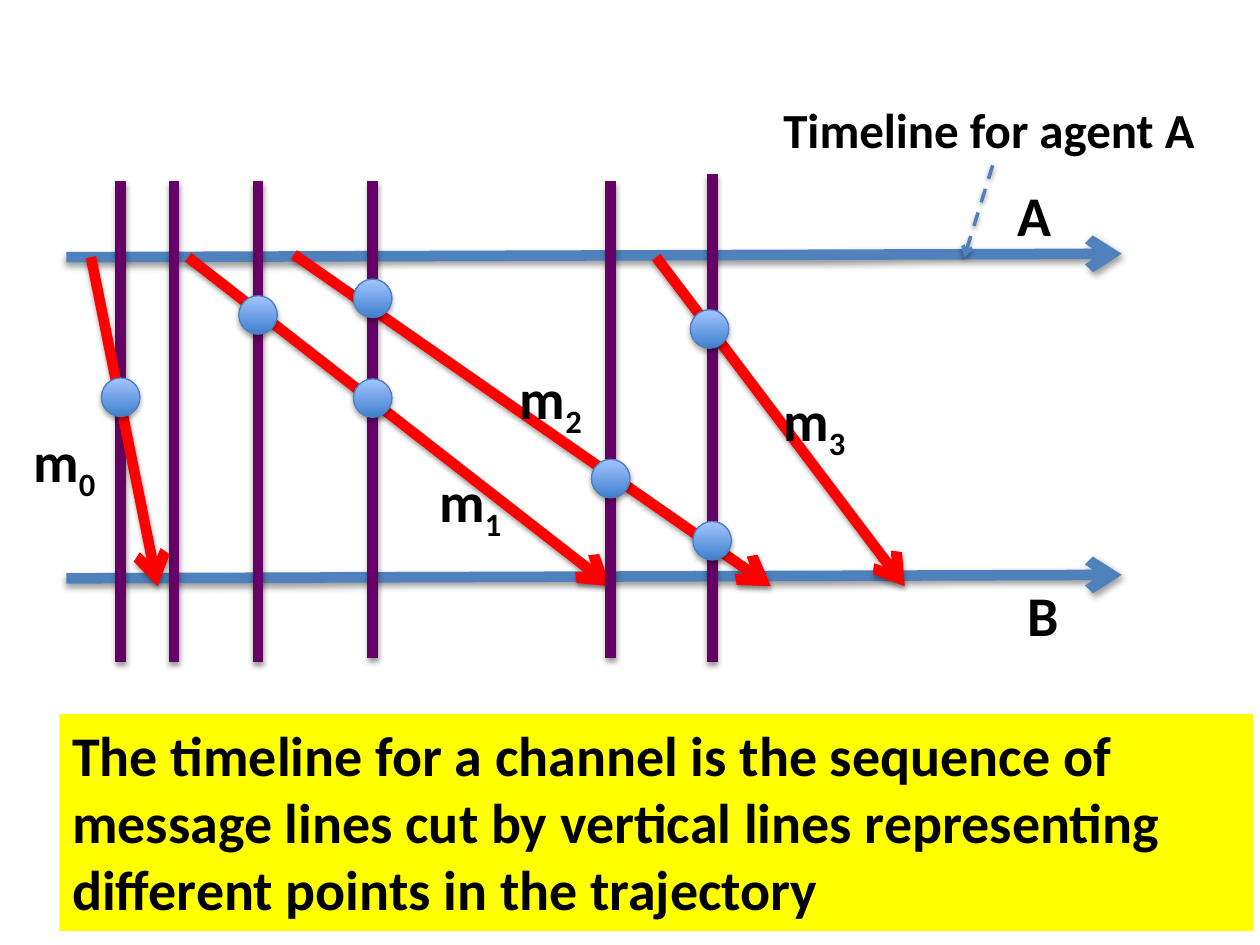
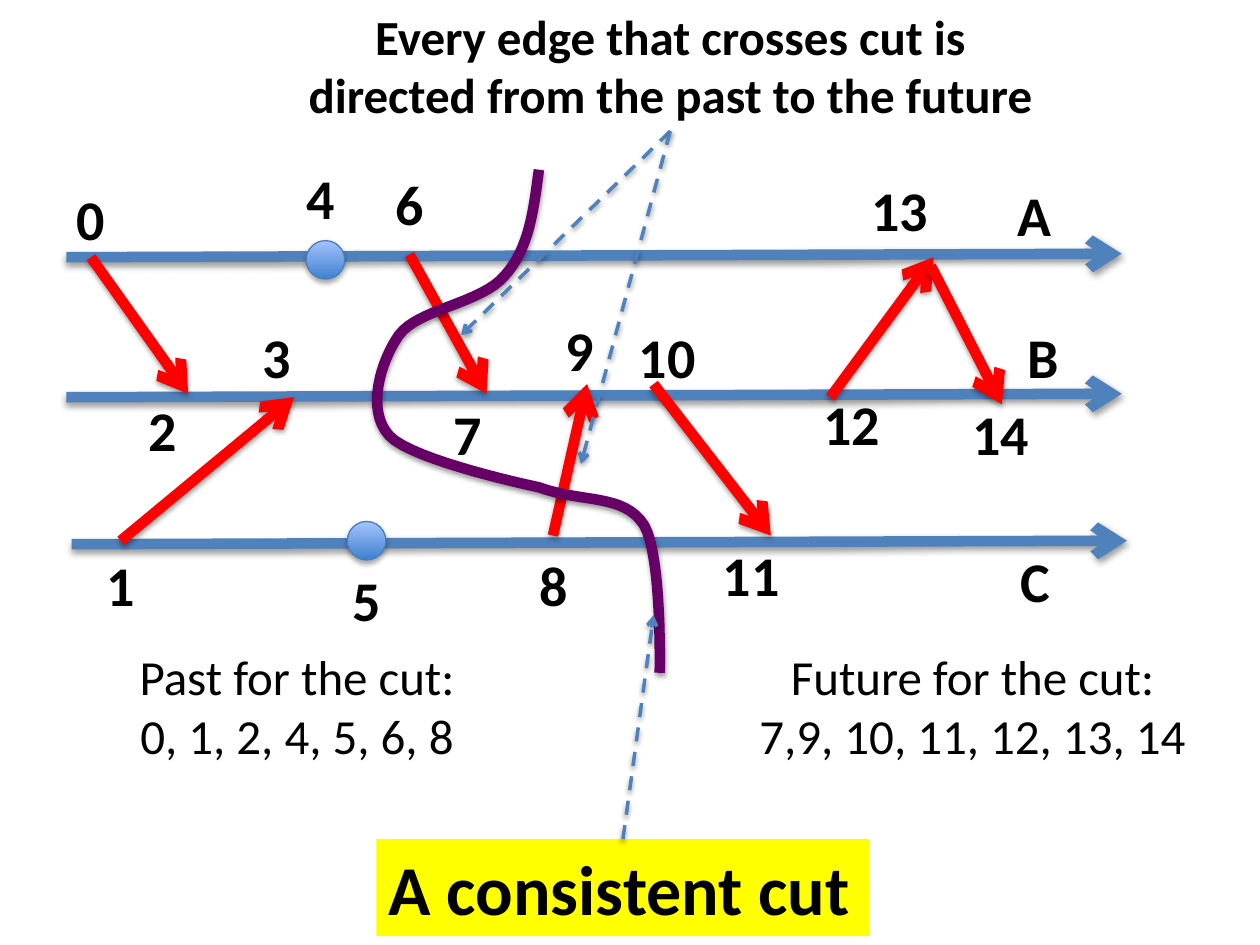
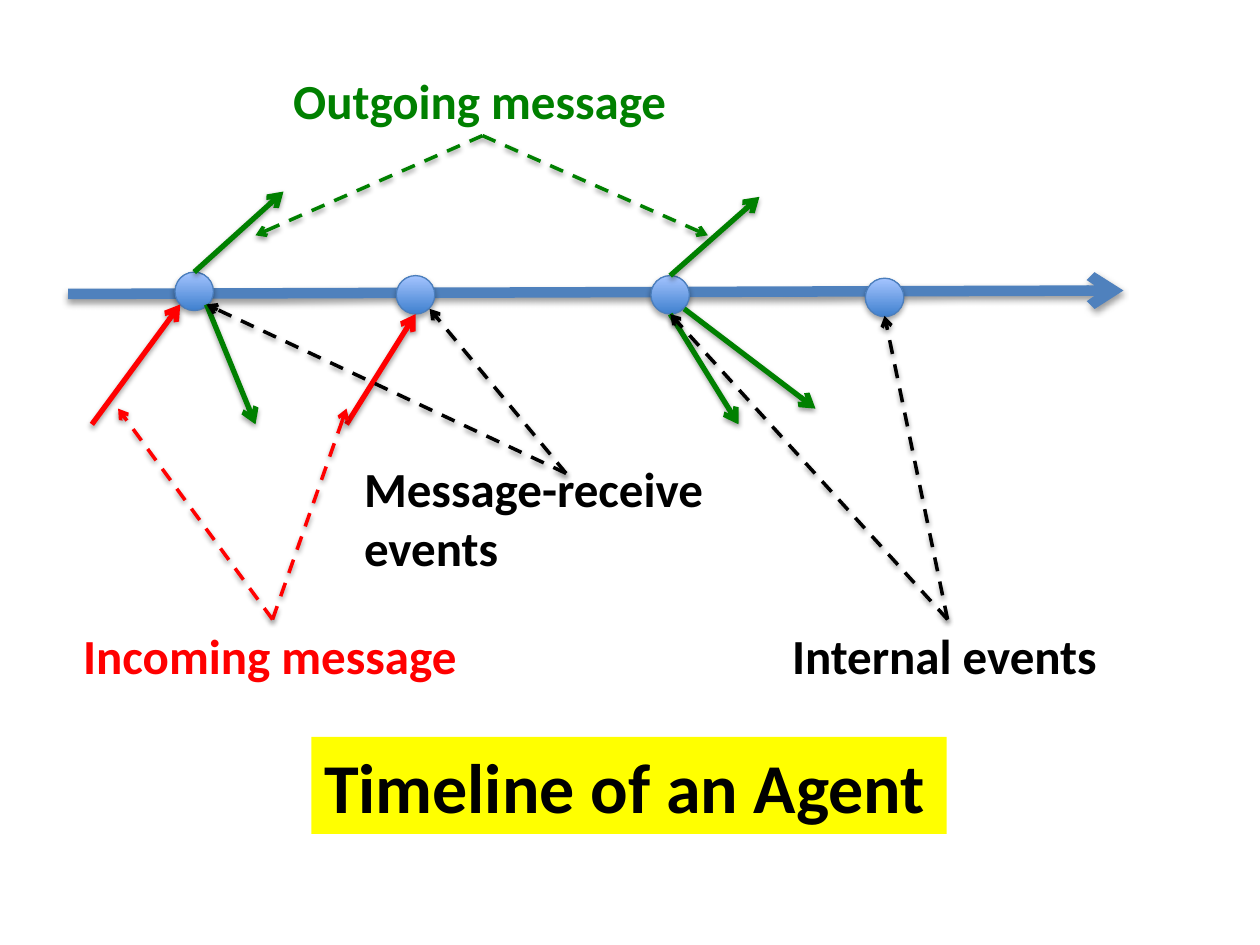
from dataclasses import dataclass

from lxml.etree import SubElement as Sub
from pptx import Presentation
from pptx.dml.color import RGBColor as RGB
from pptx.enum.dml import MSO_LINE as Dash
from pptx.enum.shapes import MSO_CONNECTOR as Link, MSO_SHAPE as Form
from pptx.enum.text import MSO_ANCHOR as Anchor, MSO_AUTO_SIZE as Fit, PP_ALIGN as Align
from pptx.oxml.ns import qn
from pptx.util import Pt


@dataclass(frozen=True)
class Theme:
    font: str = "Calibri"
    black: str = "000000"
    blue: str = "4F81BD"
    red: str = "FF0000"
    green: str = "008000"
    purple: str = "660066"
    yellow: str = "FFFF00"
    rim: str = "4B7EBC"
    deep: str = "3F80CE"
    pale: str = "A4C4FF"
    note: int = 28
    label: int = 32
    title: int = 40
    thick: int = 6
    mid: int = 3
    thin: int = 2
    dot: int = 22


T = Theme()
TOP, BOTTOM = 0, 2


def rgb(code):
    return RGB.from_string(code)


def write(frame, text, size=T.label, color=T.black, bold=True, align=Align.LEFT,
          wrap=False, fit=Fit.SHAPE_TO_FIT_TEXT, sub=""):
    """Fill a text frame, one paragraph a line; sub is a closing subscript."""
    frame.word_wrap = wrap
    frame.auto_size = fit
    frame.vertical_anchor = Anchor.TOP
    frame.text = text
    if sub:
        run = frame.paragraphs[-1].add_run()
        run.text = sub
        run.font._element.set("baseline", "-25000")
    for para in frame.paragraphs:
        para.alignment = align
        for run in para.runs:
            font = run.font
            font.name, font.size, font.bold = T.font, Pt(size), bold
            font.color.rgb = rgb(color)


def shade(shape, alpha=38, dist=1.6):
    """Give a shape a soft shadow straight below it."""
    effects = Sub(shape.element.spPr, qn("a:effectLst"))
    outer = Sub(effects, qn("a:outerShdw"), blurRad=str(Pt(3.1)), dist=str(Pt(dist)),
                dir="5400000", rotWithShape="0")
    tint = Sub(outer, qn("a:srgbClr"), val=T.black)
    Sub(tint, qn("a:alpha"), val=str(alpha * 1000))


class Pen:
    """Draws on a slide, relative to the corner of a box."""

    def __init__(self, slide, left, top):
        self.shapes, self.left, self.top = slide.shapes, left, top

    def at(self, x, y):
        return Pt(self.left + x), Pt(self.top + y)

    def line(self, start, end, color=T.blue, width=T.thick, dash=False, head=True, tie=None):
        """Draw from start to end; with tie, start is a shape and tie its side."""
        first = end if tie is not None else start
        link = self.shapes.add_connector(Link.STRAIGHT, *self.at(*first), *self.at(*end))
        if tie is not None:
            link.begin_connect(start, tie)
        link.line.color.rgb = rgb(color)
        link.line.width = Pt(width)
        if dash:
            link.line.dash_style = Dash.DASH
        if head:
            Sub(link.element.spPr.find(qn("a:ln")), qn("a:tailEnd"), type="arrow")
        shade(link)

    def hint(self, start, end, color=T.blue, tie=None):
        self.line(start, end, color, T.thin, dash=True, tie=tie)

    def axis(self, x, y):
        self.line((x, y), (x + 603, y - 2))

    def dot(self, x, y):
        """Draw an event centred on a point."""
        half = T.dot / 2
        ball = self.shapes.add_shape(Form.OVAL, *self.at(x - half, y - half),
                                     Pt(T.dot), Pt(T.dot))
        ball.fill.gradient()
        ball.fill.gradient_angle = 90
        for stop, color, place in zip(ball.fill.gradient_stops, (T.deep, T.pale), (0, 1)):
            stop.color.rgb, stop.position = rgb(color), place
        ball.line.color.rgb = rgb(T.rim)
        ball.line.width = Pt(0.75)
        shade(ball, 35, 1.8)
        return ball

    def text(self, text, x, y, w, h=46, **form):
        box = self.shapes.add_textbox(*self.at(x, y), Pt(w), Pt(h))
        write(box.text_frame, text, **form)
        return box

    def curve(self, start, bends, steps=16):
        """Draw a chain of cubic curves, each given by three points."""
        dots = []
        last = start
        for bend in bends:
            for step in range(1, steps + 1):
                t = step / steps
                parts = ((1 - t) ** 3, 3 * t * (1 - t) ** 2, 3 * t * t * (1 - t), t ** 3)
                knots = (last, *bend)
                dots.append(self.at(*(sum(p * k[i] for p, k in zip(parts, knots))
                                      for i in (0, 1))))
            last = bend[-1]
        build = self.shapes.build_freeform(*self.at(*start))
        build.add_line_segments(dots, close=False)
        shape = build.convert_to_shape()
        shape.fill.background()
        shape.line.color.rgb = rgb(T.purple)
        shape.line.width = Pt(T.thick)
        shade(shape)


def banner(slide, text, left, top, w, h, size=T.title):
    title = slide.shapes.title
    title.left, title.top, title.width, title.height = map(Pt, (left, top, w, h))
    title.fill.solid()
    title.fill.fore_color.rgb = rgb(T.yellow)
    write(title.text_frame, text, size=size, wrap=True, fit=Fit.NONE)
    return title


def channel(slide, left, top):
    pen = Pen(slide, left, top)
    for y in (97, 280.5):
        pen.axis(28, y)
    pen.text("A", 564.5, 49.5, 34)
    pen.text("B", 570, 278, 32)

    sends = [((42, 97), 80), ((97.5, 97), 339), ((158, 95.5), 430.5), ((365, 97), 507)]
    for start, end in sends[1:]:
        pen.line(start, (end, 285), T.red)
    cuts = [(59, 53.5, 328.5), (89.5, 53.5, 328.5), (137.5, 53.5, 328.5),
            (203, 53.5, 326), (339, 53.5, 326), (397, 49.5, 328.5)]
    for x, high, low in cuts:
        pen.line((x, high), (x, low), T.purple, head=False)
    start, end = sends[0]
    pen.line(start, (end, 285), T.red)

    names = [(2, 190), (234, 213), (280, 154), (430.5, 166.5)]
    for num, (x, y) in enumerate(names):
        pen.text("m", x, y, 52, sub=str(num))
    for x, y in [(59, 177), (137.5, 130), (203, 120.5), (203, 177.5),
                 (339, 223.5), (397, 259), (395.5, 138)]:
        pen.dot(x, y)
    note = pen.text("Timeline for agent A", 430.5, 3.5, 253.5, 41, size=T.note)
    pen.hint(note, (541, 97), tie=BOTTOM)


def cut(slide, left, top, title):
    pen = Pen(slide, left, top)
    for x, y in [(18, 147), (18, 227), (21, 311)]:
        pen.axis(x, y)
    for start, end in [
        ((32, 147), (87.5, 225)), ((49, 309), (148, 227)), ((214, 145.5), (258, 225)),
        ((296, 306), (315.5, 219.5)), ((353.5, 219.5), (420.5, 306)),
        ((454.5, 227), (513.5, 147)), ((512, 152), (552.5, 231)),
    ]:
        pen.line(start, end, T.red)
    pen.dot(166, 148.5)
    pen.dot(189.5, 309)

    spots = [(16.5, 102), (34, 311), (58, 222.5), (123, 180.5), (148, 90),
             (174.5, 319.5), (199, 93.5), (232, 224.5), (281, 311), (296, 176.5),
             (338, 180.5), (386, 305.5), (443.5, 219), (471, 97), (528.5, 224.5)]
    for num, (x, y) in enumerate(spots):
        pen.text(str(num), x, y, 31 if num < 10 else 47.5)
    for name, x, y in [("A", 554.5, 99.5), ("B", 560, 180.5), ("C", 556, 309)]:
        pen.text(name, x, y, 33)

    pen.curve((288, 97), [
        ((285, 119.5), (282.5, 142), (268.5, 157.5)),
        ((255, 173.5), (219, 176.5), (208, 191.5)),
        ((197.5, 206.5), (189, 234.5), (202.5, 249)),
        ((216, 263.5), (288, 278.5), (288, 278.5)),
        ((312.5, 287.5), (336.5, 282), (348, 300)),
        ((358.5, 317.5), (357, 384.5), (357, 384.5)),
    ])
    pen.hint(title, (353.5, 351.5), tie=TOP)
    form = dict(size=T.note, align=Align.CENTER, wrap=True)
    note = pen.text("Every edge that crosses cut is\ndirected from the past to the future",
                    58, 0, 610, 75, **form)
    for end in [(243.5, 191.5), (312, 265)]:
        pen.hint(note, end, tie=BOTTOM)
    for text, x in [("Past for the cut:\n0, 1, 2, 4, 5, 6, 8", 0),
                    ("Future for the cut:\n7,9, 10, 11, 12, 13, 14", 386)]:
        pen.text(text, x, 366, 299.5, 75, bold=False, **form)


def agent(slide, left, top):
    pen = Pen(slide, left, top)
    pen.axis(3, 132)
    spots = [(75, 130.5), (201.5, 132.5), (347, 132.5), (469.5, 134)]
    balls = [pen.dot(x, y) for x, y in spots]
    for start, end, color in [
        ((16.5, 206.5), (67, 138), T.red), ((162, 206.5), (201.5, 143.5), T.red),
        ((82, 138), (110, 206.5), T.green), ((347, 143.5), (386, 206.5), T.green),
        ((355, 140.5), (430, 197.5), T.green),
    ]:
        pen.line(start, end, color, T.mid)
    for ball, end in [(balls[0], (126, 73.5)), (balls[2], (398, 76.5))]:
        pen.line(ball, end, T.green, T.mid, tie=TOP)

    for text, x, y, w, color, side, ends in [
        ("Incoming message", 4.5, 318, 230.5, T.red, TOP, [(162, 197.5), (31.5, 197.5)]),
        ("Outgoing message", 124.5, 0.5, 230.5, T.green, BOTTOM, [(110, 98.5), (368.5, 98.5)]),
        ("Internal events", 409.5, 318, 192, T.black, TOP, [(347, 143.5), (469.5, 144.5)]),
    ]:
        note = pen.text(text, x, y, w, 41, size=T.note, color=color)
        for end in ends:
            pen.hint(note, end, color, tie=side)
    pen.text("Message-receive events", 165, 222.5, 221, 78, size=T.note, wrap=True)
    for end in [(82, 138), (209.5, 140.5)]:
        pen.hint((287.5, 234.5), end, T.black)


def main():
    deck = Presentation()
    deck.slide_width, deck.slide_height = Pt(720), Pt(540)
    bare = deck.slide_layouts.get_by_name("Title Only")
    first, second, third = (deck.slides.add_slide(bare) for _ in range(3))

    banner(first, "The timeline for a channel is the sequence of message lines cut by "
           "vertical lines representing different points in the trajectory",
           34, 408, 682, 124, size=T.label)
    channel(first, 10, 50)
    title = banner(second, "A consistent cut", 215, 479.5, 282, 55.5)
    cut(second, 20, 0, title)
    banner(third, "Timeline of an Agent", 178, 421, 363, 55.5)
    agent(third, 36, 36)
    deck.save("out.pptx")


if __name__ == "__main__":
    main()
